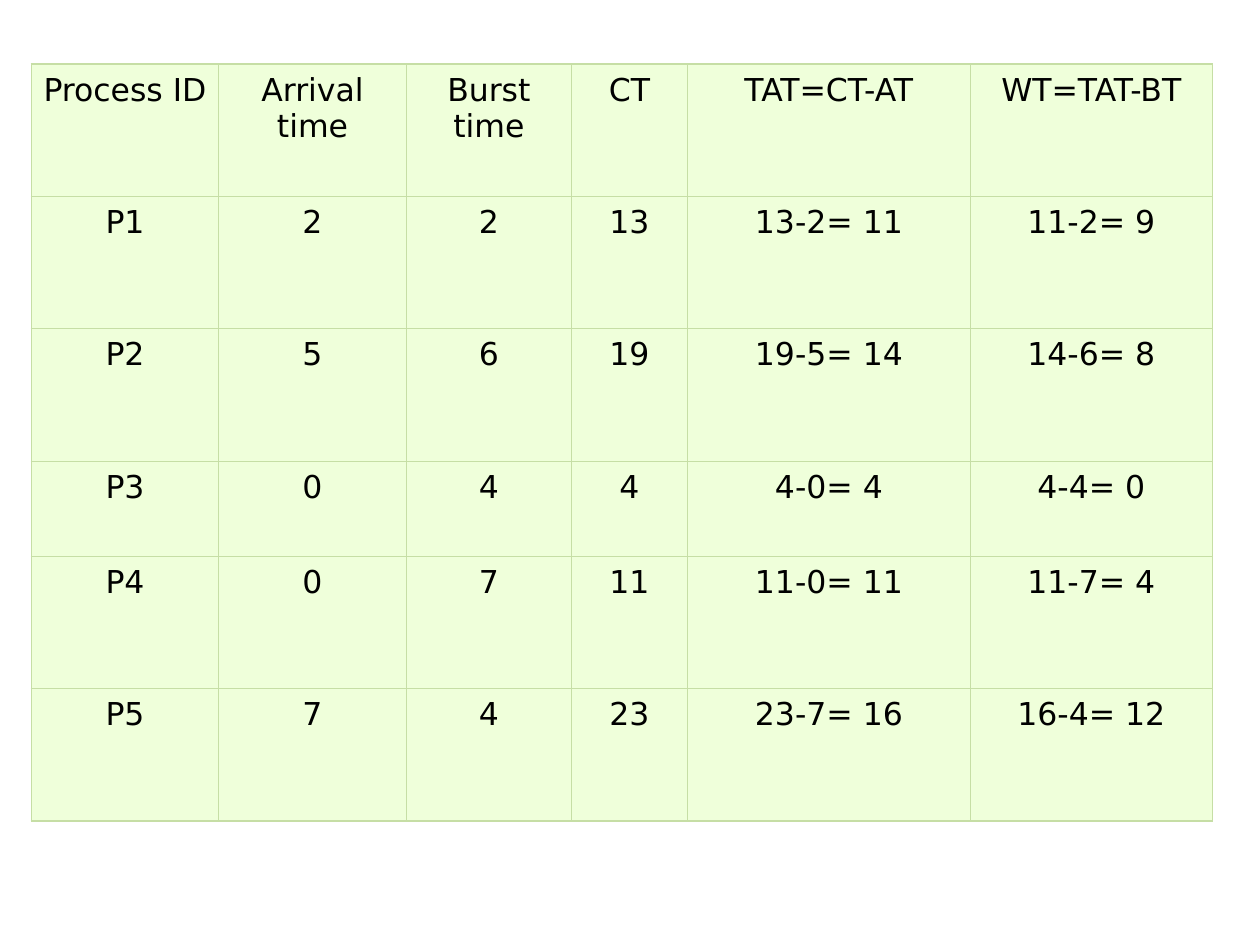
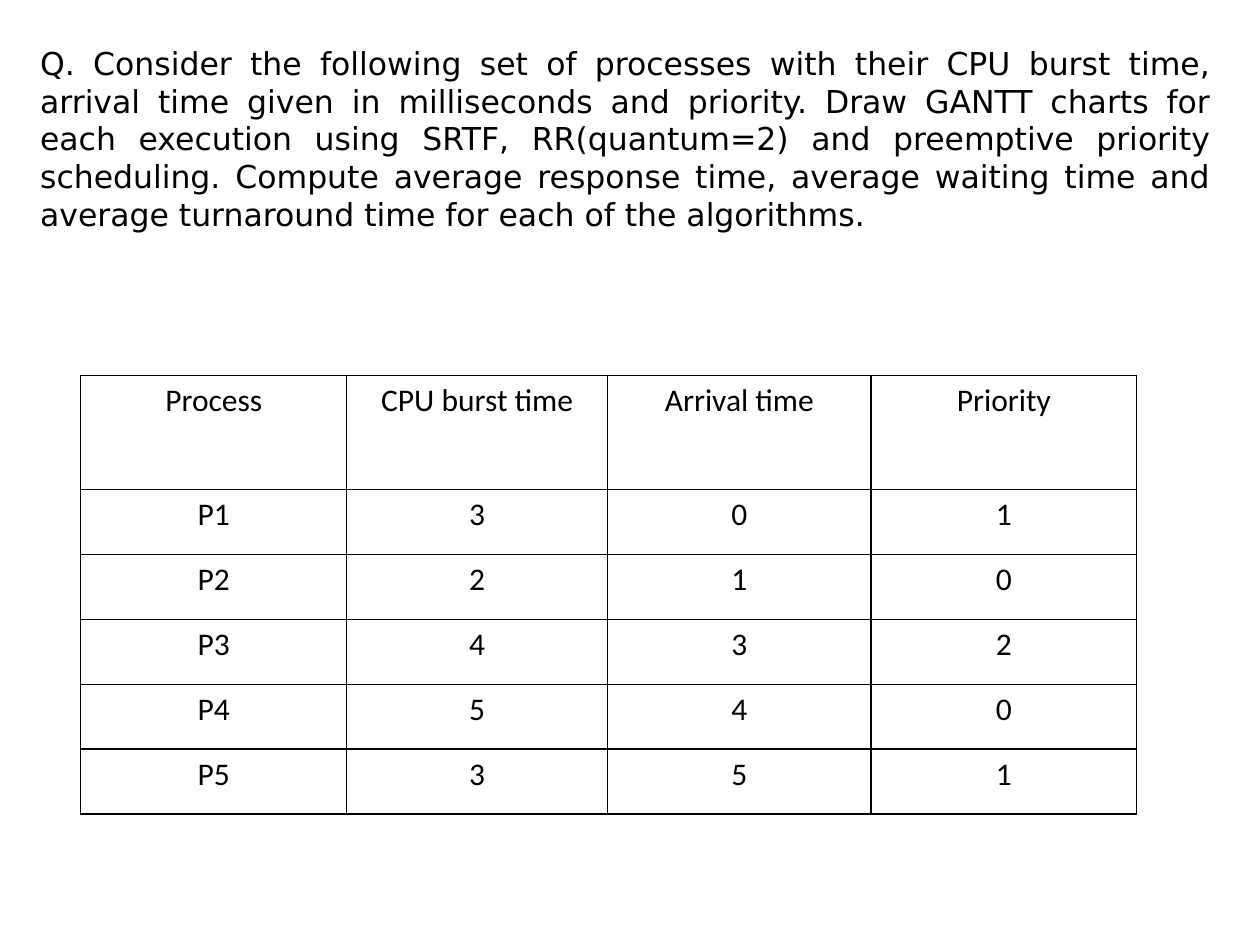
from lxml.etree import SubElement
from pptx import Presentation
from pptx.dml.color import RGBColor
from pptx.enum.text import PP_ALIGN
from pptx.oxml.ns import qn
from pptx.util import Cm, Pt

COLORS = {"text": "000000", "white": "FFFFFF", "mint": "EFFFDA", "leaf": "C6DEA5"}
BODY_FONT = "DejaVu Sans"
TABLE_FONT = "Calibri"
TEXT_SIZE = Pt(18)
BORDER_WIDTH = Pt(0.75)

# Process, arrival time, burst time, completion time
SCHEDULE = [
    ("P1", 2, 2, 13),
    ("P2", 5, 6, 19),
    ("P3", 0, 4, 4),
    ("P4", 0, 7, 11),
    ("P5", 7, 4, 23),
]

QUESTION = (
    "Q. Consider the following set of processes with their CPU burst time, "
    "arrival time given in milliseconds and priority. Draw GANTT charts for "
    "each execution using SRTF, RR(quantum=2) and preemptive priority "
    "scheduling. Compute average response time, average waiting time and "
    "average turnaround time for each of the algorithms."
)
PROCESSES = [
    ("Process", "CPU burst time", "Arrival time", "Priority"),
    ("P1", 3, 0, 1),
    ("P2", 2, 1, 0),
    ("P3", 4, 3, 2),
    ("P4", 5, 4, 0),
    ("P5", 3, 5, 1),
]


def format_paragraph(p, font, align):
    p.alignment = align
    for r in p.runs:
        r.font.name = font
        r.font.size = TEXT_SIZE
        r.font.color.rgb = RGBColor.from_string(COLORS["text"])


def set_borders(cell, color):
    tc_pr = cell._tc.get_or_add_tcPr()
    for i, side in enumerate(("lnL", "lnR", "lnT", "lnB")):
        ln = tc_pr.makeelement(qn(f"a:{side}"), {"w": str(BORDER_WIDTH)})
        fill = SubElement(ln, qn("a:solidFill"))
        SubElement(fill, qn("a:srgbClr"), val=COLORS[color])
        tc_pr.insert(i, ln)  # borders must come before the cell fill


def add_grid(slide, left, top, widths, heights, rows, font, fill, border, margins):
    """Add a centred table; sizes are in cm, margins are (horizontal, vertical)."""
    table = slide.shapes.add_table(
        len(rows), len(widths), Cm(left), Cm(top), Cm(sum(widths)), Cm(sum(heights))
    ).table
    table.first_row = table.horz_banding = False
    for column, width in zip(table.columns, widths):
        column.width = Cm(width)
    for row, height, values in zip(table.rows, heights, rows):
        row.height = Cm(height)
        for cell, value in zip(row.cells, values):
            cell.margin_left = cell.margin_right = Cm(margins[0])
            cell.margin_top = cell.margin_bottom = Cm(margins[1])
            cell.fill.solid()
            cell.fill.fore_color.rgb = RGBColor.from_string(COLORS[fill])
            set_borders(cell, border)
            cell.text_frame.text = str(value)
            format_paragraph(cell.text_frame.paragraphs[0], font, PP_ALIGN.CENTER)


def add_question(slide, left, top, width, height):
    tf = slide.shapes.add_textbox(Cm(left), Cm(top), Cm(width), Cm(height)).text_frame
    tf.word_wrap = True
    tf.text = QUESTION
    format_paragraph(tf.paragraphs[0], BODY_FONT, PP_ALIGN.JUSTIFY)


def schedule_rows():
    """Work out turnaround and waiting times for each process."""
    rows = [("Process ID", "Arrival time", "Burst time", "CT", "TAT=CT-AT", "WT=TAT-BT")]
    for name, arrival, burst, done in SCHEDULE:
        turnaround = done - arrival
        rows.append((name, arrival, burst, done,
                     f"{done}-{arrival}= {turnaround}",
                     f"{turnaround}-{burst}= {turnaround - burst}"))
    return rows


def build_times_slide(slide):
    add_grid(slide, 0.63, 1.29, [3.78, 3.78, 3.33, 2.34, 5.7, 4.88],
             [2.67, 2.67, 2.67, 1.91, 2.67, 2.67], schedule_rows(),
             BODY_FONT, "mint", "leaf", (0.16, 0.16))


def build_question_slide(slide):
    add_question(slide, 0.56, 0.76, 24.1, 4.11)
    add_grid(slide, 1.63, 7.57, [5.36, 5.26, 5.31, 5.36], [2.29] + [1.31] * 5,
             PROCESSES, TABLE_FONT, "white", "text", (0.18, 0.13))


def main():
    prs = Presentation()
    prs.slide_width, prs.slide_height = Cm(25.4), Cm(19.05)
    blank = prs.slide_layouts[6]
    for build in (build_times_slide, build_question_slide):
        build(prs.slides.add_slide(blank))
    prs.save("out.pptx")


if __name__ == "__main__":
    main()
